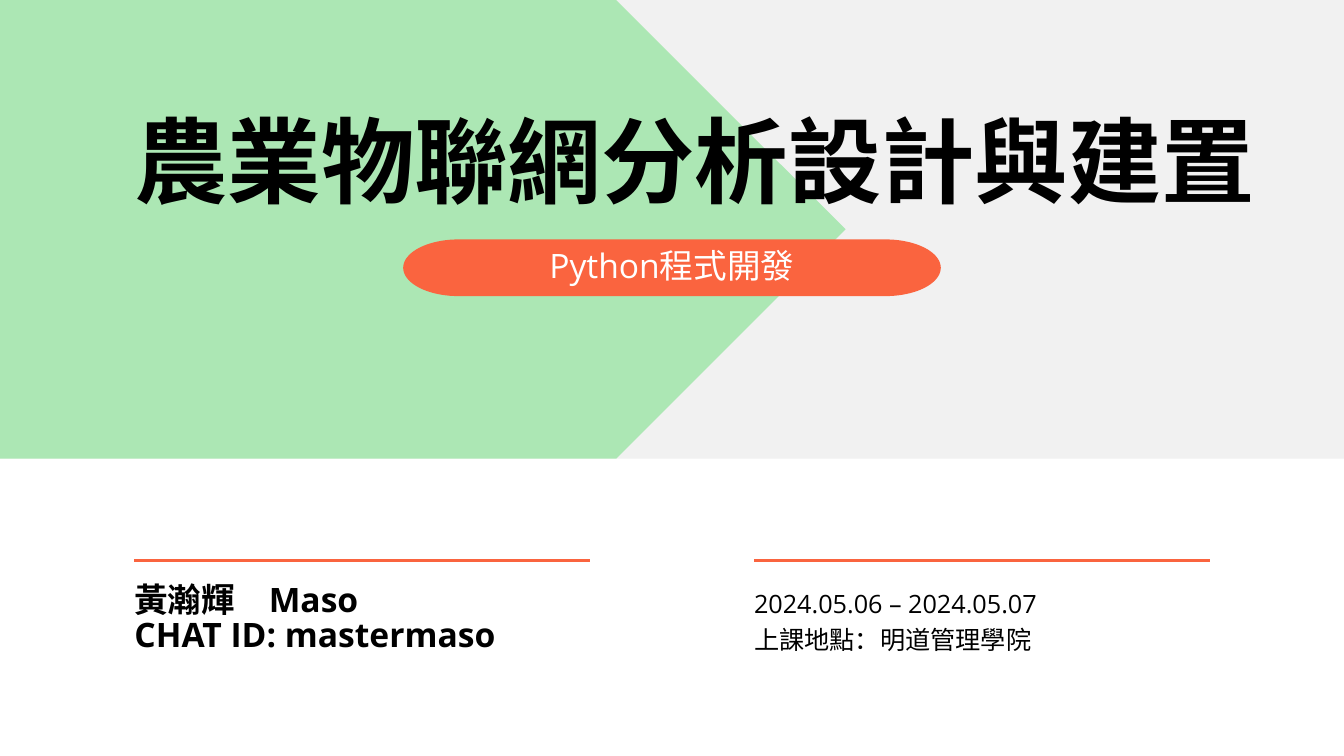
"""Build the title slide of a course on agricultural IoT."""
from dataclasses import dataclass
from math import cos, pi, sin

from lxml.etree import SubElement
from pptx import Presentation
from pptx.dml.color import RGBColor
from pptx.enum.shapes import MSO_CONNECTOR, MSO_SHAPE
from pptx.enum.text import MSO_AUTO_SIZE, PP_ALIGN
from pptx.oxml.ns import qn
from pptx.shapes.autoshape import Shape
from pptx.slide import Slide
from pptx.util import Pt

FONT = "Open Sans"
ORANGE = "FA643F"
BLACK = "000000"
BAND_HEIGHT = 327.6
RULE_TOP = 400.3
RULE_WIDTH = 325.4
CAP_STEPS = 40


@dataclass(frozen=True)
class Label:
    lines: tuple[str, ...]
    left: float
    top: float
    width: float
    height: float
    size: float
    spacing: float
    color: str = BLACK
    bold: bool = False
    align: PP_ALIGN = PP_ALIGN.LEFT


@dataclass(frozen=True)
class Panel:
    kind: MSO_SHAPE
    width: float
    color: str
    opacity: int = 100


PANELS = (
    Panel(MSO_SHAPE.RECTANGLE, 960, "F1F1F1"),
    Panel(MSO_SHAPE.PENTAGON, 604, "84E291", 63),
)
TITLE = Label(("農業物聯網分析設計與建置",), 96, 80.6, 824.4, 73.4, 66.7, 73.3, bold=True)
SUBTITLE = Label(("Python程式開發",), 323.3, 184.3, 313.2, 20.9, 24, 19.6,
                 "FFFFFF", align=PP_ALIGN.CENTER)
DETAILS = (
    Label(("黃瀚輝\u3000Maso", "CHAT ID: mastermaso"), 96, 416.9, RULE_WIDTH, 50.4,
          24, 25.2, bold=True),
    Label(("2024.05.06 – 2024.05.07", "上課地點：明道管理學院"), 538.6, 416.9,
          RULE_WIDTH, 48.2, 18, 25.2),
)


def rgb(color: str) -> RGBColor:
    return RGBColor.from_string(color)


def paint(sp: Shape, color: str, opacity: int = 100) -> None:
    sp.shadow.inherit = False
    sp.fill.solid()
    sp.fill.fore_color.rgb = rgb(color)
    sp.line.fill.background()
    if opacity < 100:
        clr = sp.fill._xPr.find(qn("a:solidFill"))[0]
        SubElement(clr, qn("a:alpha")).set("val", str(opacity * 1000))


def add_panel(s: Slide, panel: Panel) -> None:
    sp = s.shapes.add_shape(panel.kind, 0, 0, Pt(panel.width), Pt(BAND_HEIGHT))
    paint(sp, panel.color, panel.opacity)


def add_pill(s: Slide, left: float, top: float, width: float, height: float,
             cap: float) -> None:
    ry = height / 2
    points = []
    for center, start in ((left + width - cap, -pi / 2), (left + cap, pi / 2)):
        for i in range(CAP_STEPS + 1):
            angle = start + pi * i / CAP_STEPS
            points.append((Pt(center + cap * cos(angle)), Pt(top + ry + ry * sin(angle))))
    builder = s.shapes.build_freeform(*points[0])
    builder.add_line_segments(points[1:], close=True)
    paint(builder.convert_to_shape(), ORANGE)


def add_label(s: Slide, label: Label) -> None:
    sp = s.shapes.add_textbox(Pt(label.left), Pt(label.top), Pt(label.width), Pt(label.height))
    tf = sp.text_frame
    tf.margin_left = tf.margin_right = tf.margin_top = tf.margin_bottom = 0
    tf.word_wrap = True
    tf.auto_size = MSO_AUTO_SIZE.SHAPE_TO_FIT_TEXT
    tf.text = "\n".join(label.lines)
    for p in tf.paragraphs:
        p.alignment = label.align
        p.line_spacing = Pt(label.spacing)
        p.font.name = FONT
        p.font.size = Pt(label.size)
        p.font.bold = label.bold
        p.font.color.rgb = rgb(label.color)


def add_rule(s: Slide, left: float) -> None:
    line = s.shapes.add_connector(MSO_CONNECTOR.STRAIGHT, Pt(left), Pt(RULE_TOP),
                                  Pt(left + RULE_WIDTH), Pt(RULE_TOP))
    line.line.color.rgb = rgb(ORANGE)
    line.line.width = Pt(2)
    SubElement(line._element.spPr, qn("a:effectLst"))


def main() -> None:
    prs = Presentation()
    prs.slide_width, prs.slide_height = Pt(960), Pt(540)
    s = prs.slides.add_slide(prs.slide_layouts[6])
    for panel in PANELS:
        add_panel(s, panel)
    add_pill(s, 288, 171, 384, 40.5, 39.6)
    add_label(s, SUBTITLE)
    add_label(s, TITLE)
    for detail in DETAILS:
        add_label(s, detail)
        add_rule(s, detail.left)
    prs.save("out.pptx")


if __name__ == "__main__":
    main()
